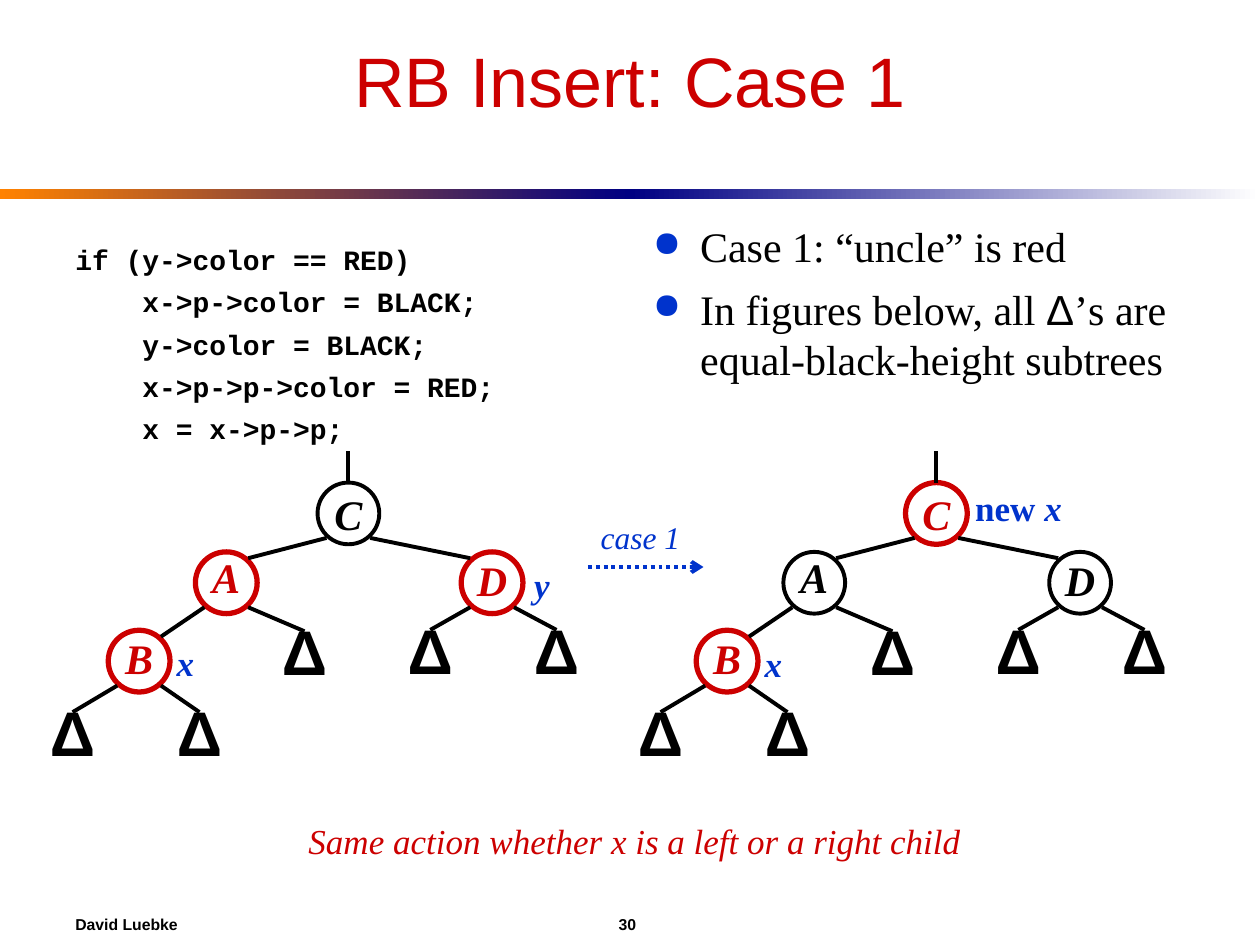
from lxml.etree import SubElement
from pptx import Presentation
from pptx.dml.color import RGBColor
from pptx.enum.dml import MSO_LINE
from pptx.enum.shapes import MSO_CONNECTOR, MSO_SHAPE
from pptx.enum.text import MSO_ANCHOR, PP_ALIGN
from pptx.oxml.ns import qn
from pptx.util import Pt

HEX = {"red": "CC0000", "black": "000000", "blue": "0033CC",
       "white": "FFFFFF", "orange": "FF8200", "navy": "000082"}
SERIF, SANS, MONO = "Times New Roman", "Arial", "Courier New"

# Content
TITLE = "RB Insert: Case 1"
CODE = ["if (y->color == RED)",
        "    x->p->color = BLACK;",
        "    y->color = BLACK;",
        "    x->p->p->color = RED;",
        "    x = x->p->p;"]
POINTS = ["Case 1: “uncle” is red",
          [("In figures below, all ", {}), ("Δ", {"font": SANS}),
           ("’s are equal-black-height subtrees", {})]]
NOTE = "Same action whether x is a left or a right child"
BANDS = [("orange", "navy"), ("navy", "white")]

# Tree: name -> centre x, centre y, line spacing
NODES = {"C": (199.1, 293.4, 1), "A": (129.3, 333, 0.7),
         "D": (281.2, 333, 0.9), "B": (79.5, 377.8, 0.9)}
LEAVES = [("B", 41.5, 424.6), ("B", 114, 424.6), ("A", 174, 378.4),
          ("D", 245.9, 377.6), ("D", 318, 377.6)]
EDGES = [("C", "A"), ("C", "D"), ("A", "B")]
# Left offset, red nodes, labels as (paragraph, centre x, centre y)
TREES = [(0, "ADB", [("x", 105.8, 378.7), ("y", 309.6, 334)]),
         (336, "CB", [("x", 105.8, 379.4),
                      ([("new", {"italic": False}), (" x", {})], 246, 290)])]
DIAM = 35.3
DX, DY = 12.5, 14   # where an edge meets a circle, from its centre

deck = Presentation()
deck.slide_width, deck.slide_height = Pt(720), Pt(540)
slide = deck.slides.add_slide(deck.slide_layouts[6])
parts = slide.shapes


def tint(name):
    return RGBColor.from_string(HEX[name])


def text(shape, paras, size, font=SERIF, color="black", bold=False,
         italic=False, align=PP_ALIGN.LEFT, mid=True, wrap=False,
         before=0, lead=None):
    frame = shape.text_frame
    frame.word_wrap = wrap
    frame.vertical_anchor = MSO_ANCHOR.MIDDLE if mid else MSO_ANCHOR.TOP
    for i, para in enumerate(paras):
        line = frame.add_paragraph() if i else frame.paragraphs[0]
        line.alignment = align
        if i and before:
            line.space_before = Pt(before)
        if lead:
            line.line_spacing = lead
        for words, own in [(para, {})] if isinstance(para, str) else para:
            run = line.add_run()
            run.text = words
            face = run.font
            face.name, face.size = own.get("font", font), Pt(size)
            face.bold, face.italic = bold, own.get("italic", italic)
            face.color.rgb = tint(color)
    return frame


def box(x, y, w, h):
    return parts.add_textbox(Pt(x), Pt(y), Pt(w), Pt(h))


def disc(x, y):
    shape = parts.add_shape(MSO_SHAPE.OVAL, Pt(x - DIAM / 2),
                            Pt(y - DIAM / 2), Pt(DIAM), Pt(DIAM))
    shape.shadow.inherit = False
    shape.fill.background()
    shape.line.fill.background()
    return shape


def link(x1, y1, x2, y2, color="black", top=None):
    line = parts.add_connector(MSO_CONNECTOR.STRAIGHT,
                               Pt(x1), Pt(y1), Pt(x2), Pt(y2))
    line.line.color.rgb, line.line.width = tint(color), Pt(2.25)
    SubElement(line._element.spPr, qn("a:effectLst"))
    if top is not None:
        line.end_connect(top, 0)
    return line


def tree(left, reds, tags):
    discs = {}
    for name, (x, y, lead) in NODES.items():
        color = "red" if name in reds else "black"
        node = discs[name] = disc(left + x, y)
        node.fill.solid()
        node.fill.fore_color.rgb = tint("white")
        node.line.color.rgb = tint(color)
        node.line.width = Pt(3 if name in reds else 2.25)
        text(node, [name], 24, color=color, bold=True, italic=True,
             align=PP_ALIGN.CENTER, lead=lead)
    x, y, _ = NODES["C"]
    link(left + x, y - DIAM / 2 - 18, left + x, y - DIAM / 2, top=discs["C"])
    for up, down in EDGES:
        (x1, y1, _), (x2, y2, _) = NODES[up], NODES[down]
        side = DX if x2 > x1 else -DX
        link(left + x1 + side, y1 + DY, left + x2 - side, y2 - DY)
    for up, x, y in LEAVES:
        leaf = disc(left + x, y)
        text(leaf, ["Δ"], 36, SANS, bold=True, align=PP_ALIGN.CENTER, lead=0.6)
        px, py, _ = NODES[up]
        side = DX if x > px else -DX
        link(left + px + side, py + DY, left + x, y - DIAM / 2, top=leaf)
    for tag, x, y in tags:
        w = 24 if isinstance(tag, str) else 64
        text(box(left + x - w / 2, y - 16, w, 32), [tag], 20, color="blue",
             bold=True, italic=True, align=PP_ALIGN.CENTER)


# Gradient rule under the title
for i, ends in enumerate(BANDS):
    band = parts.add_shape(MSO_SHAPE.RECTANGLE, Pt(360 * i), Pt(108),
                           Pt(360), Pt(6))
    band.shadow.inherit = False
    band.line.fill.background()
    band.fill.gradient()
    band.fill.gradient_angle = 0
    for pos, (stop, name) in enumerate(zip(band.fill.gradient_stops, ends)):
        stop.color.rgb, stop.position = tint(name), pos

# Title, code and points
text(box(36, 18, 648, 78), [TITLE], 40, SANS, "red",
     align=PP_ALIGN.CENTER, mid=False, wrap=True)
text(box(36, 135, 318, 128), CODE, 16, MONO, bold=True,
     mid=False, wrap=True, before=5)
body = text(box(366, 122.5, 318, 136), POINTS, 24,
            mid=False, wrap=True, before=7)
for line in body.paragraphs:
    props = line._p.get_or_add_pPr()
    props.set("marL", str(Pt(27)))
    props.set("indent", str(-Pt(27)))
    SubElement(SubElement(props, qn("a:buClr")), qn("a:srgbClr"),
               val=HEX["blue"])
    SubElement(props, qn("a:buSzPct"), val="85000")
    SubElement(props, qn("a:buChar"), char="●")

# Trees and the step between them
for part in TREES:
    tree(*part)
step = link(336, 324, 402, 324, "blue")
step.line.dash_style = MSO_LINE.ROUND_DOT
SubElement(step.line._get_or_add_ln(), qn("a:tailEnd"), type="arrow")
text(box(336, 292.5, 60, 29), ["case 1"], 18, color="blue", italic=True,
     align=PP_ALIGN.CENTER)
text(box(169, 464.5, 387.5, 32), [NOTE], 20, color="red", italic=True,
     align=PP_ALIGN.CENTER)

# Footer, with the page number on a centred tab
foot = text(box(36, 516, 648, 24), ["David Luebke\t30"], 9, SANS,
            bold=True, wrap=True)
tabs = SubElement(foot.paragraphs[0]._p.get_or_add_pPr(), qn("a:tabLst"))
SubElement(tabs, qn("a:tab"), pos=str(Pt(315.5)), algn="ctr")

deck.save("out.pptx")
